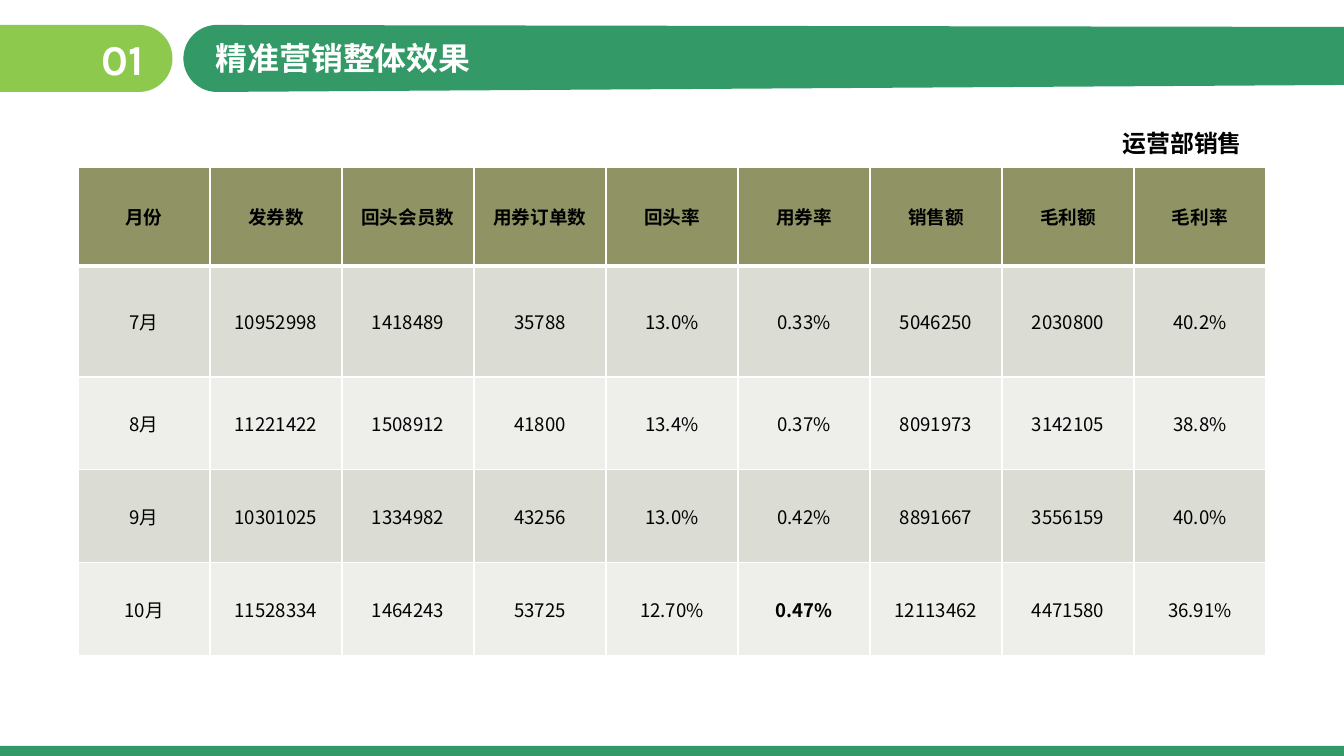
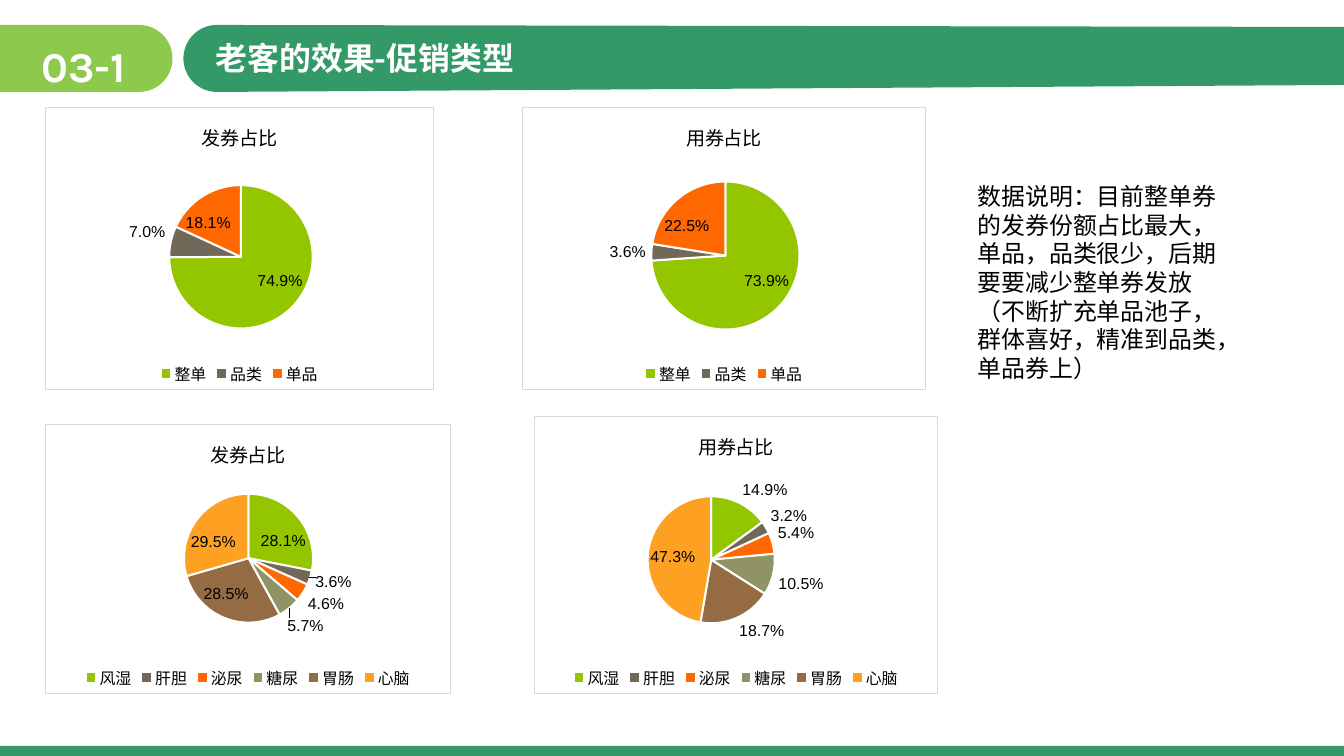
from dataclasses import dataclass
from math import cos, pi, sin

from lxml.etree import SubElement
from pptx import Presentation
from pptx.chart.data import CategoryChartData
from pptx.dml.color import RGBColor
from pptx.enum.chart import XL_CHART_TYPE, XL_LABEL_POSITION, XL_LEGEND_POSITION
from pptx.enum.shapes import MSO_SHAPE
from pptx.enum.text import MSO_ANCHOR, MSO_AUTO_SIZE, PP_ALIGN
from pptx.oxml import parse_xml
from pptx.oxml.ns import nsdecls, qn
from pptx.util import Emu, Pt

EMU_PER_PX = 9565
PAGE_WIDTH, PAGE_HEIGHT = 1344, 756


@dataclass(frozen=True)
class Theme:
    """Colours, fonts and type sizes of the deck."""

    lime: str = "8CC94C"
    green: str = "339966"
    white: str = "FFFFFF"
    black: str = "000000"
    olive: str = "909465"
    row_fills: tuple = ("DBDCD3", "EEEEEA")
    frame: str = "D9D9D9"
    slices: tuple = ("94C600", "71685A", "FF6700", "909465", "956B43", "FEA022")
    heading_font: str = "Noto Sans CJK SC"
    number_font: str = "Karla"
    body_font: str = "Calibri"
    chart_font: str = "Arial"
    number_size: float = 32
    heading_size: float = 24
    body_size: float = 18
    body_pitch: float = 21.6
    table_size: float = 14
    chart_title_size: float = 14.4
    chart_size: float = 12


def px(length):
    return Emu(round(length * EMU_PER_PX))


def frame_of(area):
    return [px(length) for length in area]


def rgb(code):
    return RGBColor.from_string(code)


def half_round(center_x, direction, top, bottom, steps=48):
    radius = (bottom - top) / 2
    angles = [pi * step / steps for step in range(steps + 1)]
    return [
        (center_x + direction * radius * sin(angle), top + radius - radius * cos(angle))
        for angle in angles
    ]


class SlideWriter:
    """Holds the theme and the current slide, and adds each kind of element."""

    def __init__(self, deck, theme):
        self.deck = deck
        self.theme = theme
        self.layout = deck.slide_layouts[5]
        self.page = None

    def open_page(self, title):
        theme = self.theme
        self.page = self.deck.slides.add_slide(self.layout)
        box = self.page.shapes.title
        box.left, box.top, box.width, box.height = frame_of((206, 34, 494, 48))
        self.fill_text(box.text_frame, title, theme.heading_font, theme.heading_size,
                       theme.white, True)

    def span(self, para, text, font, size, color, bold=False):
        run = para.add_run()
        run.text = text
        run.font.name = font
        run.font.size = Pt(size)
        run.font.bold = bold
        run.font.color.rgb = rgb(color)
        latin = run.font._element.find(qn("a:latin"))
        latin.addnext(parse_xml(
            f'<a:ea {nsdecls("a")} typeface="{self.theme.heading_font}"/>'))

    def fill_text(self, frame, text, font, size, color, bold=False, wrap=True):
        frame.word_wrap = wrap
        frame.auto_size = MSO_AUTO_SIZE.NONE
        frame.vertical_anchor = MSO_ANCHOR.MIDDLE
        para = frame.paragraphs[0]
        para.alignment = PP_ALIGN.LEFT
        self.span(para, text, font, size, color, bold)
        return para

    def number(self, text, area):
        theme = self.theme
        box = self.page.shapes.add_textbox(*frame_of(area))
        self.fill_text(box.text_frame, text, theme.number_font, theme.number_size,
                       theme.white, True, wrap=False)

    def body(self, text, area, bold=False):
        theme = self.theme
        box = self.page.shapes.add_textbox(*frame_of(area))
        para = self.fill_text(box.text_frame, text, theme.body_font, theme.body_size,
                              theme.black, bold)
        para.line_spacing = Pt(theme.body_pitch)

    def share(self, shape, color):
        shape.shadow.inherit = False
        shape.fill.solid()
        shape.fill.fore_color.rgb = rgb(color)
        shape.line.fill.background()
        tree = self.layout.shapes.element
        next_id = max(item.shape_id for item in self.layout.shapes) + 1
        shape.element.find(".//" + qn("p:cNvPr")).set("id", str(next_id))
        tree.insert(2, shape.element)

    def outline(self, points, color):
        first, *rest = [(px(x), px(y)) for x, y in points]
        builder = self.page.shapes.build_freeform(*first)
        builder.add_line_segments(rest, close=True)
        self.share(builder.convert_to_shape(), color)

    def shared_bands(self):
        theme = self.theme
        top, bottom = 25, 92
        self.outline([(0, top), *half_round(139, 1, top, bottom), (0, bottom)], theme.lime)
        self.outline([(PAGE_WIDTH, 27), *half_round(217, -1, top, bottom),
                      (PAGE_WIDTH, 85)], theme.green)
        footer = self.page.shapes.add_shape(
            MSO_SHAPE.RECTANGLE, *frame_of((0, 746, PAGE_WIDTH, PAGE_HEIGHT - 746)))
        self.share(footer, theme.green)

    def cell_borders(self, cell, widths):
        properties = cell._tc.get_or_add_tcPr()
        for index, (side, width) in enumerate(widths.items()):
            line = parse_xml(f'<a:ln{side} {nsdecls("a")} w="{Pt(width)}"/>')
            fill = SubElement(line, qn("a:solidFill"))
            SubElement(fill, qn("a:srgbClr"), val=self.theme.white)
            properties.insert(index, line)

    def table(self, rows, left, top, column_width, row_heights, bold_cell):
        theme = self.theme
        column_count = len(rows[0])
        area = (left, top, column_width * column_count, sum(row_heights))
        table = self.page.shapes.add_table(len(rows), column_count, *frame_of(area)).table
        table.first_row = table.horz_banding = False
        for column in table.columns:
            column.width = px(column_width)
        for row_index, (row, height) in enumerate(zip(rows, row_heights)):
            table.rows[row_index].height = px(height)
            header = row_index == 0
            color = theme.olive if header else theme.row_fills[(row_index - 1) % 2]
            for column_index, text in enumerate(row):
                cell = table.cell(row_index, column_index)
                cell.vertical_anchor = MSO_ANCHOR.MIDDLE
                cell.fill.solid()
                cell.fill.fore_color.rgb = rgb(color)
                self.cell_borders(cell, {"L": 1, "R": 1, "T": 3 if row_index == 1 else 1,
                                         "B": 3 if header else 1})
                para = cell.text_frame.paragraphs[0]
                para.alignment = PP_ALIGN.CENTER
                bold = header or (row_index, column_index) == bold_cell
                self.span(para, text, theme.heading_font, theme.table_size,
                          theme.black, bold)

    def chart_text(self, font, size):
        font.name = self.theme.chart_font
        font.size = Pt(size)
        font.bold = False
        font.color.rgb = rgb(self.theme.black)

    def pie(self, title, categories, values, area):
        theme = self.theme
        data = CategoryChartData(number_format="0.0%")
        data.categories = categories
        data.add_series(title, values)
        chart = self.page.shapes.add_chart(
            XL_CHART_TYPE.PIE, *frame_of(area), data).chart
        self.chart_text(chart.font, theme.chart_size)
        chart.has_title = True
        para = chart.chart_title.text_frame.paragraphs[0]
        self.span(para, title, theme.chart_font, theme.chart_title_size, theme.black)
        chart.chart_title.include_in_layout = False
        chart.has_legend = True
        chart.legend.position = XL_LEGEND_POSITION.BOTTOM
        chart.legend.include_in_layout = False
        self.chart_text(chart.legend.font, theme.chart_size)
        plot = chart.plots[0]
        plot.vary_by_categories = True
        series = plot.series[0]
        for index, color in enumerate(theme.slices[:len(values)]):
            piece = series.points[index].format
            piece.fill.solid()
            piece.fill.fore_color.rgb = rgb(color)
            piece.line.color.rgb = rgb(theme.white)
            piece.line.width = Pt(1.5)
        labels = series.data_labels
        labels.show_value = True
        labels.show_percentage = False
        labels.number_format = "0.0%"
        labels.number_format_is_linked = False
        labels.position = XL_LABEL_POSITION.BEST_FIT
        self.chart_text(labels.font, theme.chart_size)
        chart.element.find(qn("c:chart")).addnext(parse_xml(
            f'<c:spPr {nsdecls("c", "a")}><a:solidFill><a:srgbClr val="{theme.white}"/>'
            f'</a:solidFill><a:ln w="{Pt(0.75)}"><a:solidFill>'
            f'<a:srgbClr val="{theme.frame}"/></a:solidFill></a:ln></c:spPr>'))


SALES = [
    ("月份", "发券数", "回头会员数", "用券订单数", "回头率", "用券率", "销售额", "毛利额", "毛利率"),
    ("7月", "10952998", "1418489", "35788", "13.0%", "0.33%", "5046250", "2030800", "40.2%"),
    ("8月", "11221422", "1508912", "41800", "13.4%", "0.37%", "8091973", "3142105", "38.8%"),
    ("9月", "10301025", "1334982", "43256", "13.0%", "0.42%", "8891667", "3556159", "40.0%"),
    ("10月", "11528334", "1464243", "53725", "12.70%", "0.47%", "12113462", "4471580", "36.91%"),
]
COUPON_TYPES = ("整单", "品类", "单品")
ILLNESSES = ("风湿", "肝胆", "泌尿", "糖尿", "胃肠", "心脑")
PIES = [
    ("发券占比", COUPON_TYPES, (0.749, 0.07, 0.181), (45, 107, 389, 283)),
    ("用券占比", COUPON_TYPES, (0.739, 0.036, 0.225), (522, 107, 404, 283)),
    ("发券占比", ILLNESSES, (0.281, 0.036, 0.046, 0.057, 0.285, 0.295), (45, 424, 406, 270)),
    ("用券占比", ILLNESSES, (0.149, 0.032, 0.054, 0.105, 0.187, 0.473), (534, 416, 404, 278)),
]
NOTE = ("数据说明：目前整单券的发券份额占比最大，单品，品类很少，后期要要减少整单券发放"
        "（不断扩充单品池子，群体喜好，精准到品类，单品券上）")


def main():
    deck = Presentation()
    deck.slide_width, deck.slide_height = px(PAGE_WIDTH), px(PAGE_HEIGHT)
    writer = SlideWriter(deck, Theme())

    writer.open_page("精准营销整体效果")
    writer.shared_bands()
    writer.number("01", (92, 28, 70, 61))
    writer.table(SALES, 78, 167, 132, (99, 111, 93, 93, 93), bold_cell=(4, 5))
    writer.body("运营部销售", (1113, 124, 154, 38), bold=True)

    writer.open_page("老客的效果-促销类型")
    writer.number("03-1", (32, 35, 104, 61))
    for title, categories, values, area in PIES:
        writer.pie(title, categories, values, area)
    writer.body(NOTE, (968, 176, 262, 212))

    deck.save("out.pptx")


if __name__ == "__main__":
    main()
